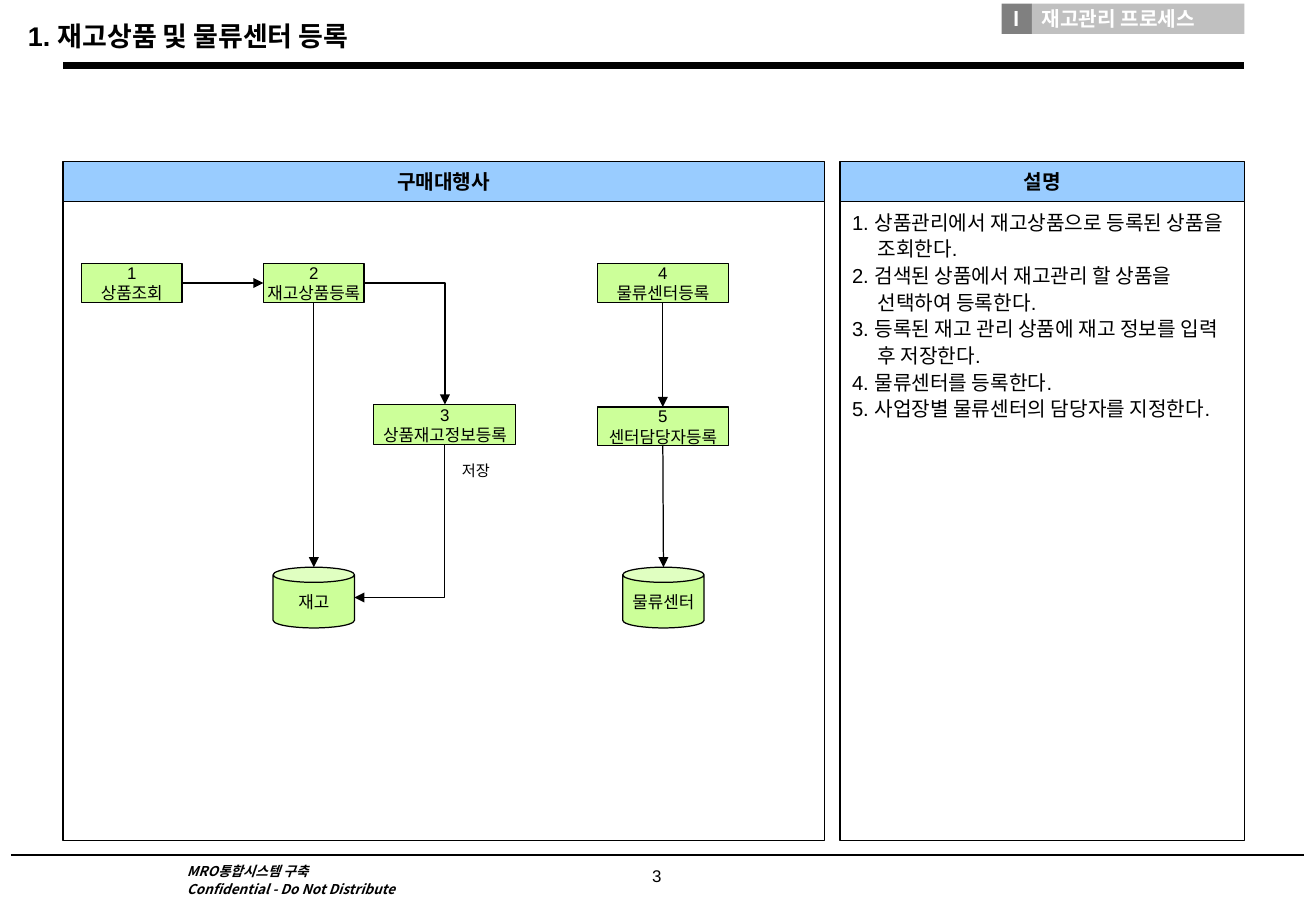
from lxml.etree import SubElement
from pptx import Presentation
from pptx.dml.color import RGBColor
from pptx.enum.shapes import MSO_CONNECTOR as Link, MSO_SHAPE as Shape
from pptx.enum.text import MSO_ANCHOR as Anchor, PP_ALIGN as Align
from pptx.oxml.ns import qn
from pptx.util import Inches, Pt

LATIN, KOREAN = "Arial", "Noto Sans CJK KR"
BLACK, WHITE, GREEN, BLUE = "000000", "FFFFFF", "CCFF99", "99CCFF"
HEADER_HEIGHT = 0.33
SIDES = {"top": (0.5, 0), "left": (0, 0.5), "bottom": (0.5, 1), "right": (1, 0.5)}

# name: (preset, left, top, width, height, lines), measured from the panel corner
NODES = {
    "search": (Shape.RECTANGLE, 0.15, 0.84, 0.83, 0.32, ["1", "상품조회"]),
    "register": (Shape.RECTANGLE, 1.65, 0.84, 0.83, 0.32, ["2", "재고상품등록"]),
    "details": (Shape.RECTANGLE, 2.56, 2.0, 1.17, 0.33, ["3", "상품재고정보등록"]),
    "stock": (Shape.CAN, 1.73, 3.34, 0.67, 0.5, ["재고"]),
    "center": (Shape.RECTANGLE, 4.4, 0.84, 1.08, 0.32, ["4", "물류센터등록"]),
    "manager": (Shape.RECTANGLE, 4.4, 2.02, 1.08, 0.32, ["5", "센터담당자등록"]),
    "warehouse": (Shape.CAN, 4.61, 3.34, 0.67, 0.5, ["물류센터"]),
}
# Elbows leave their first side horizontally; the last value is the arrow's end
FLOWS = [
    (Link.STRAIGHT, "search", "right", "register", "left", "tailEnd"),
    (Link.STRAIGHT, "register", "bottom", "stock", "top", "tailEnd"),
    (Link.ELBOW, "register", "right", "details", "top", "tailEnd"),
    (Link.ELBOW, "stock", "right", "details", "bottom", "headEnd"),
    (Link.STRAIGHT, "center", "bottom", "manager", "top", "tailEnd"),
    (Link.STRAIGHT, "manager", "bottom", "warehouse", "top", "tailEnd"),
]
STEPS = [
    "1. 상품관리에서 재고상품으로 등록된 상품을 조회한다.",
    "2. 검색된 상품에서 재고관리 할 상품을 선택하여 등록한다.",
    "3. 등록된 재고 관리 상품에 재고 정보를 입력 후 저장한다.",
    "4. 물류센터를 등록한다.",
    "5. 사업장별 물류센터의 담당자를 지정한다.",
]


def color(value):
    return RGBColor.from_string(value)


def inches(values):
    return [Inches(value) for value in values]


def write(shape, lines, size, ink=BLACK, font=LATIN, bold=False, italic=False,
          align=Align.LEFT, anchor=Anchor.TOP, wrap=False, spacing=1.0, gap=0,
          hanging=0, insets=(0.1, 0.05, 0.1, 0.05)):
    """Fill a shape with one paragraph per line; gap is in points."""
    frame = shape.text_frame
    frame.word_wrap, frame.vertical_anchor = wrap, anchor
    for side, inset in zip(("left", "top", "right", "bottom"), insets):
        setattr(frame, f"margin_{side}", Inches(inset))
    for index, line in enumerate(lines):
        para = frame.add_paragraph() if index else frame.paragraphs[0]
        para.alignment, para.line_spacing = align, spacing
        para.space_before = Pt(gap if index else 0)
        if hanging:
            properties = para._p.get_or_add_pPr()
            properties.set("marL", str(Inches(hanging)))
            properties.set("indent", str(-Inches(hanging)))
        span = para.add_run()
        span.text = line
        look = {"name": font, "size": Pt(size), "bold": bold, "italic": italic}
        for name, value in look.items():
            setattr(span.font, name, value)
        span.font.color.rgb = color(ink)
        SubElement(span._r.get_or_add_rPr(), qn("a:ea"), typeface=KOREAN)


def add_box(page, box, fill=None, line=BLACK, preset=Shape.RECTANGLE):
    shape = page.shapes.add_shape(preset, *inches(box))
    shape.shadow.inherit = False
    if fill:
        shape.fill.solid()
        shape.fill.fore_color.rgb = color(fill)
    else:
        shape.fill.background()
    if line:
        shape.line.color.rgb, shape.line.width = color(line), Pt(0.75)
    else:
        shape.line.fill.background()
    return shape


def add_label(page, box, lines, size, **look):
    write(page.shapes.add_textbox(*inches(box)), lines, size, wrap=True, **look)


def add_line(page, start, end, width, kind=Link.STRAIGHT):
    line = page.shapes.add_connector(kind, *start, *end)
    line.line.color.rgb, line.line.width = color(BLACK), Pt(width)
    SubElement(line._element.spPr, qn("a:effectLst"))
    return line


def side_point(shape, side):
    across, down = SIDES[side]
    return (int(shape.left + across * shape.width),
            int(shape.top + down * shape.height))


def add_flow(page, kind, first, first_side, last, last_side, arrow_end):
    """Draw an arrow glued to a side of each shape."""
    start, end = side_point(first, first_side), side_point(last, last_side)
    line = add_line(page, start, end, 0.75, kind)
    if kind == Link.ELBOW:
        line._element.spPr.find(qn("a:prstGeom")).set("prst", "bentConnector2")
    SubElement(line.line._get_or_add_ln(), qn(f"a:{arrow_end}"), type="triangle")
    joints = line._element.nvCxnSpPr.cNvCxnSpPr
    for tag, shape, side in (("stCxn", first, first_side), ("endCxn", last, last_side)):
        # A can has one more connection site, ahead of its top
        site = list(SIDES).index(side) + (shape.auto_shape_type == Shape.CAN)
        SubElement(joints, qn(f"a:{tag}"), id=str(shape.shape_id), idx=str(site))


def add_panel(page, box, heading):
    """Draw a framed panel with a heading bar and return its frame."""
    left, top, width, height = box
    frame = add_box(page, (left, top + HEADER_HEIGHT, width, height - HEADER_HEIGHT))
    bar = add_box(page, (left, top, width, HEADER_HEIGHT), BLUE)
    write(bar, [heading], 12, bold=True, align=Align.CENTER, anchor=Anchor.MIDDLE)
    return frame


def add_process(page, box):
    add_panel(page, box, "구매대행사")
    left, top = box[:2]
    shapes = {}
    for name, (preset, x, y, width, height, lines) in NODES.items():
        node = add_box(page, (left + x, top + y, width, height), GREEN, preset=preset)
        write(node, lines, 10, align=Align.CENTER, anchor=Anchor.MIDDLE)
        shapes[name] = node
    for kind, first, first_side, last, last_side, arrow_end in FLOWS:
        add_flow(page, kind, shapes[first], first_side, shapes[last], last_side, arrow_end)
    add_label(page, (left + 3.15, top + 2.42, 0.5, 0.25), ["저장"], 9, align=Align.CENTER)


def add_description(page, box):
    frame = add_panel(page, box, "설명")
    write(frame, STEPS, 12, wrap=True, spacing=1.1, hanging=0.21)


def add_header(page, box):
    left, top, width, height = box
    title = page.shapes.title
    place = (left - 0.39, top + 0.08, 3.06, 0.37)
    for name, value in zip(("left", "top", "width", "height"), inches(place)):
        setattr(title, name, value)
    write(title, ["1. 재고상품 및 물류센터 등록"], 16, bold=True)
    right, bottom = left + width, top + height
    add_line(page, inches((left, bottom)), inches((right, bottom)), 4)
    badge = add_box(page, (right - 2, top, 0.25, 0.25), "808080", None)
    write(badge, ["Ⅰ"], 12, WHITE, KOREAN, bold=True, align=Align.CENTER,
          spacing=1.1, insets=(0.04, 0, 0.04, 0))
    section = add_box(page, (right - 1.75, top, 1.75, 0.25), "C0C0C0", None)
    write(section, ["재고관리 프로세스"], 12, WHITE, bold=True,
          spacing=1.1, insets=(0.08, 0, 0.04, 0))


def add_footer(page, box):
    left, top, width, _ = box
    add_line(page, inches((left, top)), inches((left + width, top)), 1)
    add_label(page, (left + 1.35, top + 0.06, 2.59, 0.33),
              ["MRO통합시스템 구축", "Confidential - Do Not Distribute"], 8,
              font=KOREAN, bold=True, italic=True, spacing=0.6, gap=5)
    add_label(page, (left + 5.09, top + 0.06, 0.46, 0.4), ["3"], 10,
              align=Align.CENTER, spacing=0.9)


def main():
    deck = Presentation()
    deck.slide_width, deck.slide_height = Inches(10.84), Inches(7.5)
    page = deck.slides.add_slide(deck.slide_layouts[5])
    add_header(page, (0.52, 0.03, 9.73, 0.51))
    add_process(page, (0.52, 1.33, 6.27, 5.59))
    add_description(page, (6.92, 1.33, 3.33, 5.59))
    add_footer(page, (0.09, 7.04, 10.65, 0.46))
    deck.save("out.pptx")


if __name__ == "__main__":
    main()
